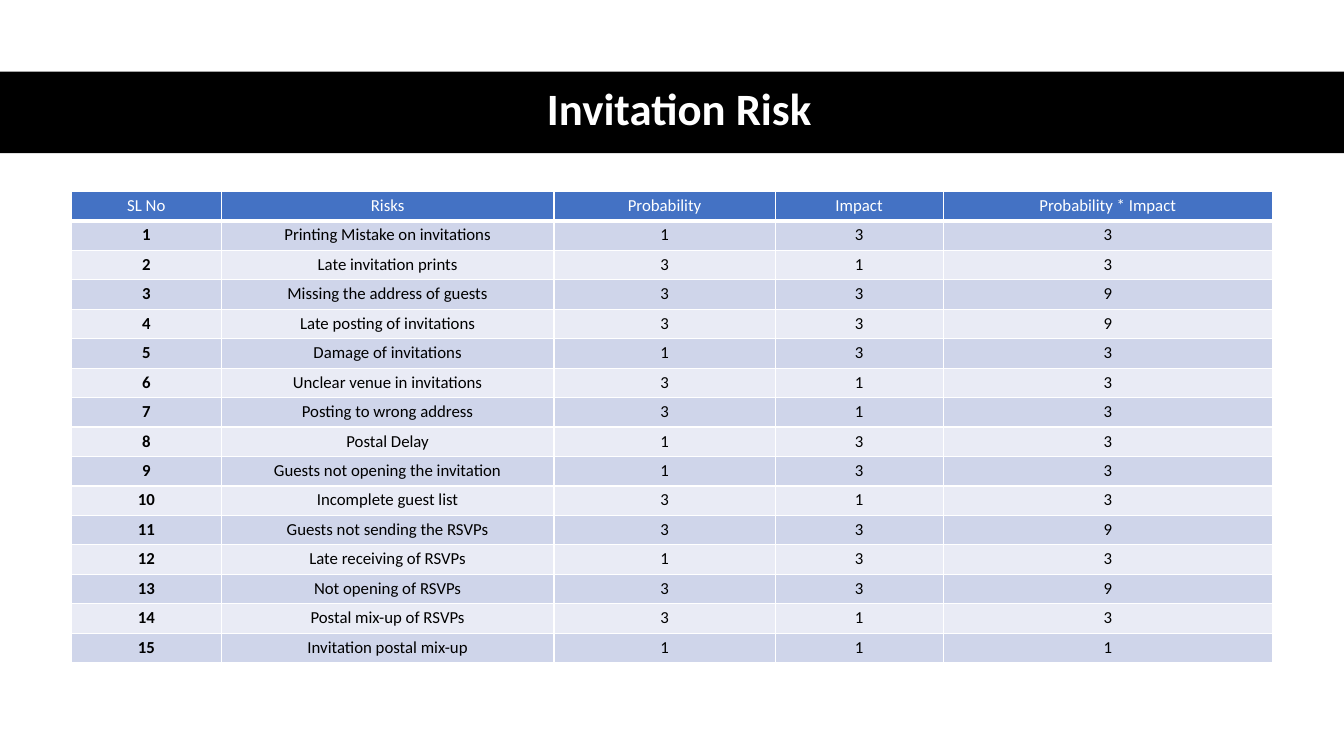
from dataclasses import dataclass

from lxml import etree
from pptx import Presentation
from pptx.dml.color import RGBColor
from pptx.enum import shapes, text
from pptx.oxml import ns
from pptx.slide import Slide
from pptx.table import _Cell
from pptx.text.text import _Paragraph
from pptx.util import Pt

BLACK = RGBColor(0x00, 0x00, 0x00)
WHITE = RGBColor(0xFF, 0xFF, 0xFF)
HEADER_BLUE = RGBColor(0x44, 0x72, 0xC4)
BANDS = (RGBColor(0xCF, 0xD5, 0xEA), RGBColor(0xE9, 0xEB, 0xF5))

FONT = "Calibri"
SLIDE_W, SLIDE_H = 960, 540
BAND_TOP, BAND_H = 51.2, 58.2
ROW_H = 21.06
THIN, THICK = 1, 3


@dataclass(frozen=True)
class Column:
    heading: str
    width: float


@dataclass(frozen=True)
class Risk:
    name: str
    probability: int
    impact: int

    @property
    def score(self) -> int:
        return self.probability * self.impact


COLUMNS = (
    Column("SL No", 107),
    Column("Risks", 237.8),
    Column("Probability", 157.9),
    Column("Impact", 120),
    Column("Probability * Impact", 235.3),
)

RISKS = (
    Risk("Printing Mistake on invitations", 1, 3),
    Risk("Late invitation prints", 3, 1),
    Risk("Missing the address of guests", 3, 3),
    Risk("Late posting of invitations", 3, 3),
    Risk("Damage of invitations", 1, 3),
    Risk("Unclear venue in invitations", 3, 1),
    Risk("Posting to wrong address", 3, 1),
    Risk("Postal Delay", 1, 3),
    Risk("Guests not opening the invitation", 1, 3),
    Risk("Incomplete guest list", 3, 1),
    Risk("Guests not sending the RSVPs", 3, 3),
    Risk("Late receiving of RSVPs", 1, 3),
    Risk("Not opening of RSVPs", 3, 3),
    Risk("Postal mix-up of RSVPs", 3, 1),
    Risk("Invitation postal mix-up", 1, 1),
)


def add_centred_run(p: _Paragraph, words: str, size: float, color: RGBColor, bold: bool) -> None:
    p.alignment = text.PP_ALIGN.CENTER
    r = p.add_run()
    r.text = words
    r.font.name = FONT
    r.font.size = Pt(size)
    r.font.bold = bold
    r.font.color.rgb = color


def set_borders(cell: _Cell, top: float, bottom: float) -> None:
    """Draw white borders; call before filling, as the schema wants lines first."""
    tc_pr = cell._tc.get_or_add_tcPr()
    for side, width in (("L", THIN), ("R", THIN), ("T", top), ("B", bottom)):
        ln = etree.SubElement(tc_pr, ns.qn(f"a:ln{side}"), w=str(Pt(width)))
        fill = etree.SubElement(ln, ns.qn("a:solidFill"))
        etree.SubElement(fill, ns.qn("a:srgbClr"), val=str(WHITE))


def fill_cell(cell: _Cell, words: str, row: int, bold: bool) -> None:
    header = row == 0
    set_borders(cell, THICK if row == 1 else THIN, THICK if header else THIN)
    cell.fill.solid()
    cell.fill.fore_color.rgb = HEADER_BLUE if header else BANDS[(row - 1) % 2]
    cell.margin_left = cell.margin_right = Pt(5.8)
    cell.margin_top, cell.margin_bottom = Pt(0.7), Pt(0)
    p = cell.text_frame.paragraphs[0]
    p.line_spacing = 1.15
    p.space_after = Pt(10)
    add_centred_run(p, words, 12, WHITE if header else BLACK, bold)


def add_title(s: Slide) -> None:
    """Place the title over a full-width black band."""
    title = s.shapes.title
    band = s.shapes.add_shape(
        shapes.MSO_SHAPE.RECTANGLE, Pt(0), Pt(BAND_TOP), Pt(SLIDE_W), Pt(BAND_H)
    )
    band.shadow.inherit = False
    band.fill.solid()
    band.fill.fore_color.rgb = BLACK
    band.line.fill.background()
    title._element.addprevious(band._element)

    title.left, title.top = Pt(43.9), Pt(50.4)
    title.width, title.height = Pt(882.7), Pt(BAND_H)
    tf = title.text_frame
    tf.vertical_anchor = text.MSO_ANCHOR.MIDDLE
    p = tf.paragraphs[0]
    p.line_spacing = 0.9
    add_centred_run(p, "Invitation Risk", 32, WHITE, True)


def add_risk_table(s: Slide) -> None:
    rows = [[c.heading for c in COLUMNS]]
    for number, risk in enumerate(RISKS, 1):
        rows.append([str(number), risk.name, str(risk.probability), str(risk.impact), str(risk.score)])

    width = sum(c.width for c in COLUMNS)
    table = s.shapes.add_table(
        len(rows), len(COLUMNS), Pt(51), Pt(136.8), Pt(width), Pt(ROW_H * len(rows))
    ).table
    table.horz_banding = False
    for col, column in zip(table.columns, COLUMNS):
        col.width = Pt(column.width)
    for i, values in enumerate(rows):
        table.rows[i].height = Pt(ROW_H)
        for j, words in enumerate(values):
            fill_cell(table.cell(i, j), words, i, bold=i > 0 and j == 0)


def main() -> None:
    prs = Presentation()
    prs.slide_width, prs.slide_height = Pt(SLIDE_W), Pt(SLIDE_H)
    s = prs.slides.add_slide(prs.slide_layouts[5])
    add_title(s)
    add_risk_table(s)
    prs.save("out.pptx")


if __name__ == "__main__":
    main()
